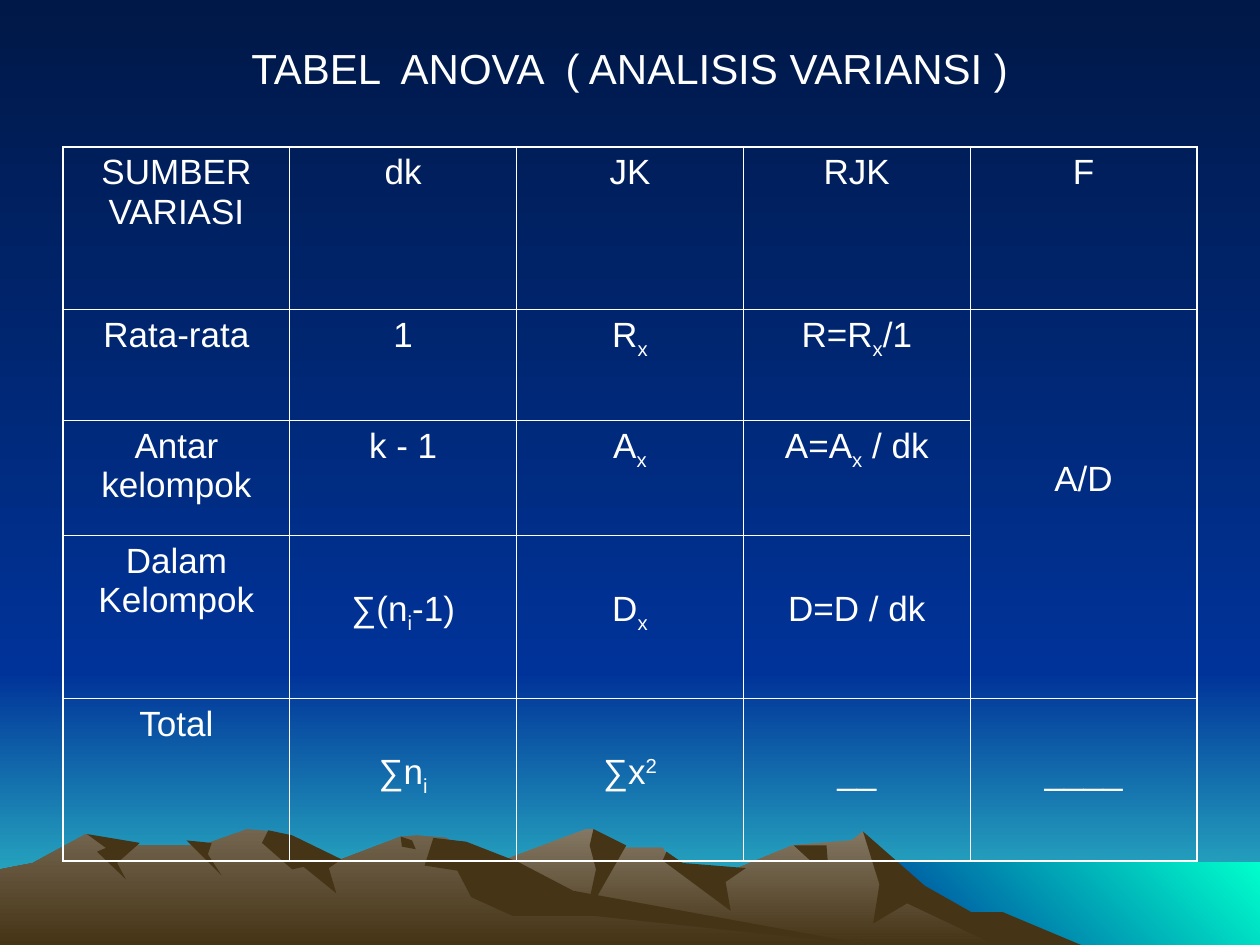
from dataclasses import dataclass

from lxml.etree import SubElement
from pptx import Presentation
from pptx.dml.color import RGBColor
from pptx.enum.shapes import MSO_SHAPE
from pptx.enum.text import MSO_ANCHOR, MSO_AUTO_SIZE, PP_ALIGN
from pptx.oxml.ns import qn
from pptx.util import Pt


@dataclass(frozen=True)
class Theme:
    font: str = "Arial"
    title: int = 24
    body: int = 20
    text: str = "FFFFFF"
    sky: tuple = ("001847", "003399")
    haze: tuple = ("003399", "33CCCC")
    sea: tuple = ("003399", "00FFCC")
    peak: tuple = ("847864", "463416")
    range: tuple = ("73654F", "463416")
    shade: tuple = ("463416",)


theme = Theme()
DOWN, RISE = 270, 45


def paint(fill, tones, angle=DOWN):
    """Fill with one solid tone, or with a gradient between two."""
    if len(tones) == 1:
        fill.solid()
        fill.fore_color.rgb = RGBColor.from_string(tones[0])
        return
    fill.gradient()
    fill.gradient_angle = angle
    for stop, tone in zip(fill.gradient_stops, tones):
        stop.color.rgb = RGBColor.from_string(tone)


def style(para, size):
    para.alignment = PP_ALIGN.CENTER
    para.font.name = theme.font
    para.font.size = Pt(size)
    para.font.bold = False
    para.font.color.rgb = RGBColor.from_string(theme.text)


deck = Presentation()
deck.slide_width, deck.slide_height = Pt(720), Pt(540)
slide = deck.slides.add_slide(deck.slide_layouts[5])
shapes = slide.shapes
paint(slide.background.fill, theme.sky)

# Sky, haze and sea
bands = [
    ((0, 384, 720, 156), theme.haze, DOWN),
    ((0, 0, 720, 384), theme.sky, DOWN),
    ((492, 493, 228, 47), theme.sea, RISE),
]
for box, tones, angle in bands:
    band = shapes.add_shape(MSO_SHAPE.RECTANGLE, *map(Pt, box))
    band.shadow.inherit = False
    band.line.fill.background()
    paint(band.fill, tones, angle)

# Mountains, in hundredths of an inch (0.72 pt)
hills = [
    (theme.peak, [
        (821, 750), (764, 723), (723, 698), (685, 660), (676, 667), (629, 671),
        (566, 697), (536, 690), (526, 673), (486, 673), (471, 658), (465, 658),
        (394, 685), (327, 709), (258, 750)]),
    (theme.shade, [
        (796, 724), (771, 724), (734, 703), (685, 660), (698, 702), (693, 733),
        (720, 717), (790, 750), (858, 750)]),
    (theme.shade, [
        (471, 658), (468, 671), (473, 690), (465, 727), (497, 671)]),
    (theme.shade, [
        (529, 676), (526, 683), (580, 723), (576, 700), (592, 689), (542, 685)]),
    (theme.shade, [
        (656, 671), (630, 671), (643, 683), (657, 684)]),
    (theme.range, [
        (690, 750), (432, 712), (354, 665), (331, 663), (318, 664), (271, 682),
        (236, 681), (219, 660), (196, 658), (160, 671), (94, 671), (68, 662),
        (26, 685), (0, 690), (0, 750)]),
    (theme.shade, [
        (213, 659), (208, 669), (232, 690), (241, 688), (267, 709), (261, 689),
        (271, 682), (232, 663)]),
    (theme.shade, [
        (370, 668), (344, 665), (337, 687), (363, 691), (374, 712), (407, 727),
        (472, 727), (690, 750), (455, 707), (411, 684)]),
    (theme.shade, [(318, 664), (327, 667), (330, 674), (319, 672)]),
    (theme.shade, [(148, 667), (168, 669), (165, 678), (176, 695)]),
    (theme.shade, [
        (69, 662), (111, 669), (93, 685), (100, 698), (77, 676), (84, 673)]),
]
for tones, points in hills:
    pen = shapes.build_freeform(*points[0], scale=Pt(0.72))
    pen.add_line_segments(points[1:], close=True)
    hill = pen.convert_to_shape()
    hill.shadow.inherit = False
    hill.line.fill.background()
    paint(hill.fill, tones)

# ANOVA table: "|" switches between the base line and a raised or lowered index
rows = [
    ["SUMBER VARIASI", "dk", "JK", "RJK", "F"],
    ["Rata-rata", "1", "R|x", "R=R|x|/1", "A/D"],
    ["Antar kelompok", "k - 1", "A|x", "A=A|x| / dk", ""],
    ["Dalam Kelompok", "∑(n|i|-1)", "D|x", "D=D / dk", ""],
    ["Total", "∑n|i", "∑x|2", "__", "____"],
]
heights = [92.9, 63.4, 65.7, 93, 93]
drops = {(1, 4): 3} | {(r, c): 1 for r in (3, 4) for c in range(1, 5)}
LINE = 27.5
last = len(rows) - 1

grid = shapes.add_table(5, 5, Pt(36), Pt(84), Pt(648), Pt(sum(heights))).table
grid.first_row = grid.horz_banding = False
for col in grid.columns:
    col.width = Pt(129.6)
for row, height in zip(grid.rows, heights):
    row.height = Pt(height)
grid.cell(1, 4).merge(grid.cell(3, 4))

for r, row in enumerate(rows):
    for c, text in enumerate(row):
        cell = grid.cell(r, c)
        cell.margin_top = Pt(3.6 + LINE * drops.get((r, c), 0))
        para = cell.text_frame.paragraphs[0]
        style(para, theme.body)
        for i, part in enumerate(text.split("|") if text else []):
            run = para.add_run()
            run.text = part
            if i % 2:
                base = "30000" if part.isdigit() else "-25000"
                run.font._element.set("baseline", base)
        props = cell._tc.get_or_add_tcPr()
        edges = {"L": c == 0, "R": c == last, "T": r == 0, "B": r == last}
        for side, outer in edges.items():
            width = Pt(1.08 if outer else 0.45)
            line = SubElement(props, qn(f"a:ln{side}"), w=str(width))
            solid = SubElement(line, qn("a:solidFill"))
            SubElement(solid, qn("a:srgbClr"), val=theme.text)
        cell.fill.background()

# Title, brought in front of the sky
title = shapes.title
title.left, title.top, title.width, title.height = map(Pt, (66, 18, 588, 36))
frame = title.text_frame
frame.text = "TABEL  ANOVA  ( ANALISIS VARIANSI )"
frame.auto_size = MSO_AUTO_SIZE.NONE
frame.vertical_anchor = MSO_ANCHOR.TOP
frame.margin_top = Pt(6)
style(frame.paragraphs[0], theme.title)
shapes._spTree.append(title._element)

deck.save("out.pptx")
